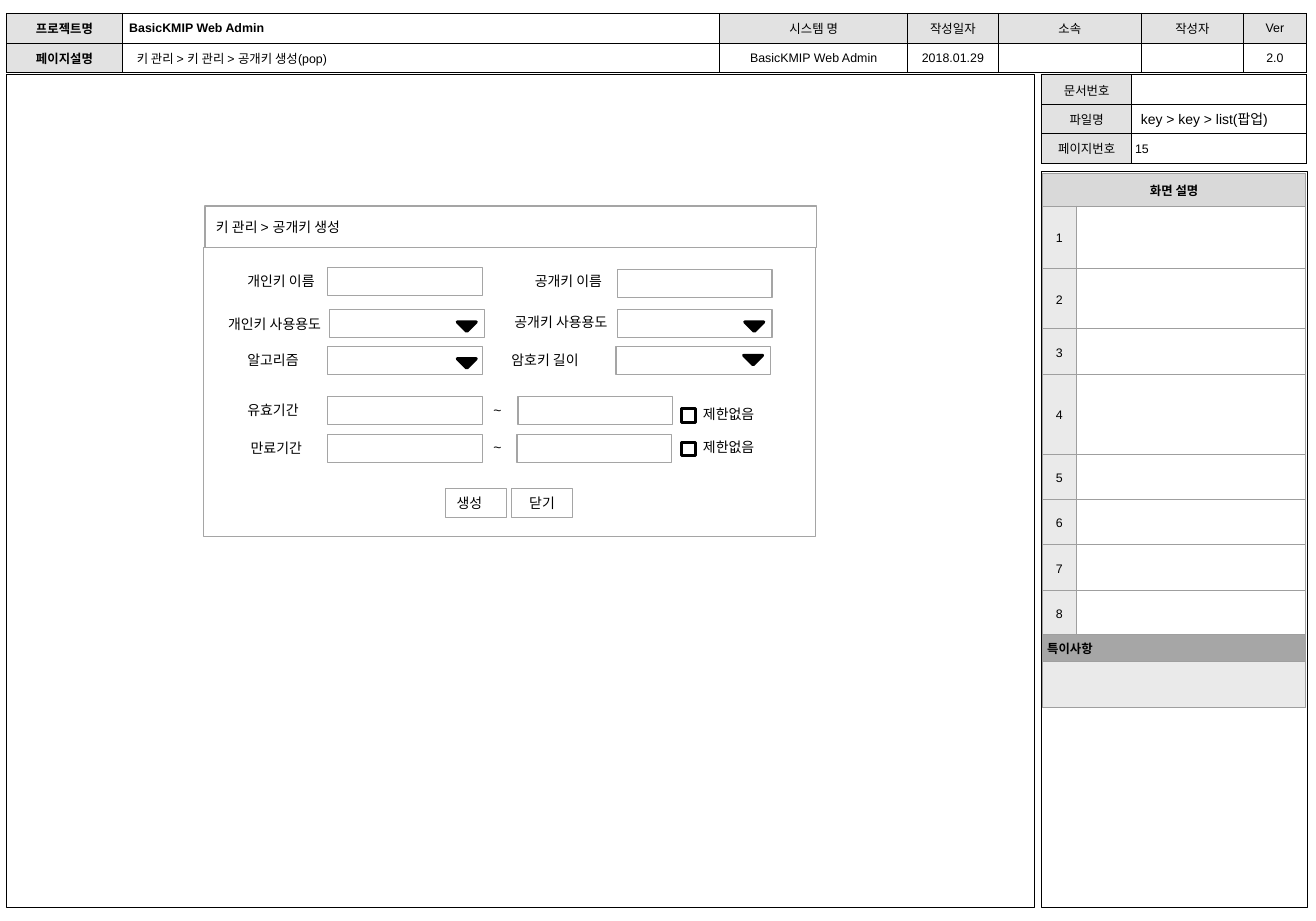
from dataclasses import dataclass
from typing import Optional

from lxml import etree
from pptx import Presentation
from pptx.dml.color import RGBColor
from pptx.enum.shapes import MSO_SHAPE
from pptx.enum.text import MSO_ANCHOR, PP_ALIGN
from pptx.oxml.ns import qn
from pptx.util import Inches, Pt

BLACK = RGBColor(0x00, 0x00, 0x00)
WHITE = RGBColor(0xFF, 0xFF, 0xFF)
HEAD = RGBColor(0xE2, 0xE2, 0xE2)
TITLE = RGBColor(0xD9, 0xD9, 0xD9)
PALE = RGBColor(0xEA, 0xEA, 0xEA)
NOTE = RGBColor(0xA6, 0xA6, 0xA6)
RULE = RGBColor(0x9F, 0x9F, 0x9F)
EDGE = RGBColor(0xA5, 0xA5, 0xA5)

LEFT, CENTER, RIGHT = PP_ALIGN.LEFT, PP_ALIGN.CENTER, PP_ALIGN.RIGHT
TOP, MIDDLE = MSO_ANCHOR.TOP, MSO_ANCHOR.MIDDLE
RECT, ARROW = MSO_SHAPE.RECTANGLE, MSO_SHAPE.RIGHT_TRIANGLE

FONT = "Arial"
PRODUCT = "BasicKMIP Web Admin"
FIELD_W, FIELD_H = 1.39, 0.25
MARK = 0.12


@dataclass
class Cell:
    text: str = ""
    fill: Optional[RGBColor] = WHITE
    align: PP_ALIGN = CENTER
    bold: bool = False
    spacing: float = 1.0
    span: int = 1


@dataclass
class Label:
    text: str
    left: float
    top: float
    width: float = 0.98
    height: float = 0.15
    align: PP_ALIGN = LEFT
    size: float = 9
    inset: tuple[float, float] = (0, 0)


@dataclass
class Box:
    left: float
    top: float
    width: float = FIELD_W
    height: float = FIELD_H
    text: str = ""
    align: PP_ALIGN = LEFT
    anchor: MSO_ANCHOR = TOP
    edge: RGBColor = EDGE
    weight: float = 0.75
    fill: Optional[RGBColor] = WHITE
    kind: MSO_SHAPE = RECT
    turn: float = 0


def set_text(frame, text: str, size: float, align: PP_ALIGN, bold: bool = False) -> None:
    para = frame.paragraphs[0]
    para.text = text
    para.alignment = align
    font = para.font
    font.name, font.size, font.bold = FONT, Pt(size), bold
    font.color.rgb = BLACK


def set_inset(frame, side: float, end: float) -> None:
    frame.margin_left = frame.margin_right = Inches(side)
    frame.margin_top = frame.margin_bottom = Inches(end)


def set_fill(part, color: Optional[RGBColor]) -> None:
    if color is None:
        part.fill.background()
    else:
        part.fill.solid()
        part.fill.fore_color.rgb = color


def add_label(shapes, item: Label) -> None:
    frame = shapes.add_textbox(Inches(item.left), Inches(item.top),
                               Inches(item.width), Inches(item.height)).text_frame
    frame.word_wrap = True
    set_inset(frame, *item.inset)
    set_text(frame, item.text, item.size, item.align)


def add_box(shapes, item: Box) -> None:
    shape = shapes.add_shape(item.kind, Inches(item.left), Inches(item.top),
                             Inches(item.width), Inches(item.height))
    shape.shadow.inherit = False
    shape.rotation = item.turn
    set_fill(shape, item.fill)
    shape.line.color.rgb = item.edge
    shape.line.width = Pt(item.weight)
    if item.text:
        shape.text_frame.vertical_anchor = item.anchor
        set_text(shape.text_frame, item.text, 9, item.align)


def add_border(cell, color: RGBColor) -> None:
    props = cell._tc.get_or_add_tcPr()
    for spot, side in enumerate(("lnL", "lnR", "lnT", "lnB")):
        line = etree.Element(qn(f"a:{side}"), w=str(Pt(0.75)))
        fill = etree.SubElement(line, qn("a:solidFill"))
        etree.SubElement(fill, qn("a:srgbClr"), val=str(color))
        props.insert(spot, line)


def add_grid(shapes, left: float, top: float, cols: list[float], rows: list[float],
             cells: list[list[Cell]], edge: RGBColor, inset: tuple[float, float]) -> None:
    table = shapes.add_table(len(rows), len(cols), Inches(left), Inches(top),
                             Inches(sum(cols)), Inches(sum(rows))).table
    table.first_row = table.horz_banding = False
    for col, width in zip(table.columns, cols):
        col.width = Inches(width)
    for row, height in zip(table.rows, rows):
        row.height = Inches(height)
    for r, line in enumerate(cells):
        for c, item in enumerate(line):
            cell = table.cell(r, c)
            if item.span > 1:
                cell.merge(table.cell(r, c + item.span - 1))
            set_fill(cell, item.fill)
            cell.vertical_anchor = MIDDLE
            set_inset(cell, *inset)
            set_text(cell.text_frame, item.text, 8, item.align, item.bold)
            para = cell.text_frame.paragraphs[0]
            para.line_spacing = item.spacing
            if not item.text:  # keeps an empty row from growing
                etree.SubElement(para._p, qn("a:endParaRPr"), sz="800")
            add_border(cell, edge)


def head(text: str, bold: bool = False) -> Cell:
    return Cell(text, HEAD, bold=bold)


def add_frame(shapes) -> None:
    """Draw the page header, the side panel and the canvas outline."""
    inset = (0.06, 0.05)
    names = ["문서번호", "파일명", "페이지번호"]
    add_grid(shapes, 9.35, 0.67, [0.81, 1.57], [0.27, 0.26, 0.26],
             [[head(name), Cell()] for name in names], BLACK, inset)
    heads = ["시스템 명", "작성일자", "소속", "작성자", "Ver"]
    values = [PRODUCT, "2018.01.29", "", "", "2.0"]
    add_grid(shapes, 0.06, 0.12, [1.04, 5.36, 1.69, 0.81, 1.29, 0.91, 0.57], [0.27, 0.26],
             [[head("프로젝트명", True), Cell(PRODUCT, align=LEFT, bold=True), *map(head, heads)],
              [head("페이지설명", True), Cell(), *map(Cell, values)]], BLACK, inset)
    add_box(shapes, Box(0.06, 0.67, 9.23, 7.48, edge=BLACK, fill=None))
    add_box(shapes, Box(9.35, 1.54, 2.39, 6.61, edge=BLACK))
    steps = [[Cell(str(n), PALE, spacing=1.2), Cell(fill=None)] for n in range(1, 9)]
    add_grid(shapes, 9.36, 1.56, [0.3, 2.06],
             [0.29, 0.56, 0.54, 0.41, 0.72, 0.41, 0.4, 0.41, 0.4, 0.22, 0.41],
             [[Cell("화면 설명", TITLE, bold=True, span=2)], *steps,
              [Cell("특이사항", NOTE, LEFT, True, span=2)], [Cell(fill=PALE, span=2)]],
             RULE, (0.04, 0.04))
    pad = (0.1, 0.05)
    for item in (Label("15", 10.09, 1.22, 0.52, 0.24, size=8, inset=pad),
                 Label("키 관리 > 키 관리 > 공개키 생성(pop)", 1.13, 0.41, 3.6, 0.2, size=8, inset=pad),
                 Label("key > key > list(팝업)", 10.24, 0.99, 1.31)):
        add_label(shapes, item)


def add_popup(shapes) -> None:
    boxes = [Box(1.84, 1.85, 5.49, 0.37, "키 관리 > 공개키 생성", anchor=MIDDLE),
             Box(1.83, 2.22, 5.49, 2.6),
             Box(4.59, 4.39, 0.55, 0.26, "닫기", CENTER),
             Box(4, 4.39, 0.55, 0.26, "생성")]
    fields = [(2.94, 2.4), (5.54, 2.42), (2.96, 2.78), (5.54, 2.78), (2.94, 3.11),
              (5.53, 3.11), (2.94, 3.56), (4.65, 3.56), (2.94, 3.9), (4.64, 3.9)]
    boxes += [Box(*spot) for spot in fields]
    arrows = [(4.13, 2.83), (6.71, 2.83), (4.13, 3.16), (6.7, 3.13)]
    boxes += [Box(*spot, MARK, MARK, edge=BLACK, weight=2, fill=BLACK, kind=ARROW, turn=315)
              for spot in arrows]
    boxes += [Box(6.12, top, MARK, MARK, edge=BLACK, weight=2) for top in (3.67, 3.97)]
    for box in boxes:
        add_box(shapes, box)

    labels = [Label("개인키 이름", 2.22, 2.45), Label("공개키 이름", 4.8, 2.45),
              Label("개인키 사용용도", 1.9, 2.83, align=RIGHT),
              Label("공개키 사용용도", 4.47, 2.82, align=RIGHT),
              Label("알고리즘", 2.22, 3.16), Label("암호키 길이", 4.59, 3.16),
              Label("유효기간", 2.22, 3.61), Label("만료기간", 2.25, 3.95)]
    labels += [Label("~", 4.43, top, 0.23, 0.2) for top in (3.61, 3.94)]
    labels += [Label("제한없음", 6.31, top, 0.78) for top in (3.64, 3.94)]
    for label in labels:
        add_label(shapes, label)


def main() -> None:
    deck = Presentation()
    deck.slide_width = Pt(850.5)
    deck.slide_height = Pt(595.38)
    shapes = deck.slides.add_slide(deck.slide_layouts[6]).shapes
    add_frame(shapes)
    add_popup(shapes)
    deck.save("out.pptx")


if __name__ == "__main__":
    main()
